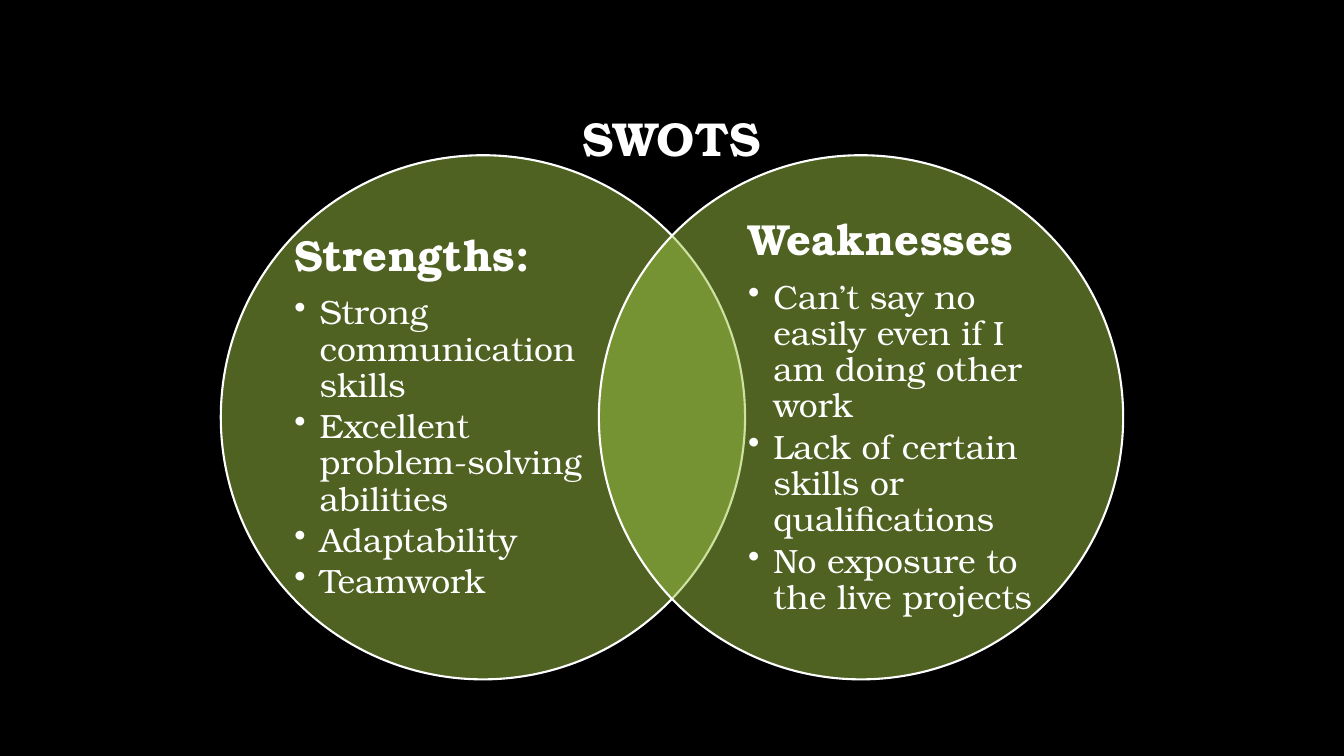
from dataclasses import dataclass

from lxml.etree import SubElement
from pptx import Presentation
from pptx.dml.color import RGBColor
from pptx.enum.shapes import MSO_SHAPE as Preset
from pptx.enum.text import MSO_ANCHOR as Anchor, PP_ALIGN as Align
from pptx.oxml.ns import qn
from pptx.util import Inches, Pt


@dataclass(frozen=True)
class Theme:
    font: str = "TeX Gyre Bonum"
    backdrop: RGBColor = RGBColor(0x00, 0x00, 0x00)
    circle: RGBColor = RGBColor(0x9E, 0xC5, 0x44)
    light: RGBColor = RGBColor(0xFF, 0xFF, 0xFF)
    title_size: float = 34
    heading_size: float = 31
    point_size: float = 24
    outline: float = 1.5
    line_spacing: float = 0.9
    heading_gap: float = 0.35
    point_gap: float = 0.15


@dataclass(frozen=True)
class Topic:
    heading: str
    points: tuple[str, ...]
    circle_left: float
    text_left: float


THEME = Theme()
CIRCLE_TOP, DIAMETER = 1.54, 5.2
TEXT_TOP, TEXT_WIDTH, TEXT_HEIGHT = 2.15, 3, 3.98
HANGING = Inches(0.25)

TOPICS = (
    Topic("Strengths:",
          ("Strong communication skills",
           "Excellent problem-solving abilities",
           "Adaptability",
           "Teamwork"),
          2.19, 2.92),
    Topic("Weaknesses",
          ("Can’t say no easily even if I am doing other work",
           "Lack of certain skills or qualifications",
           "No exposure to the live projects"),
          5.94, 7.42),
)


def apply(target, values: dict) -> None:
    for name, value in values.items():
        setattr(target, name, value)


def add_frame(slide, left: float, top: float, width: float, height: float):
    """Add a wrapping, vertically centred text box and return its frame."""
    box = slide.shapes.add_textbox(*map(Inches, (left, top, width, height)))
    apply(box.text_frame, {"word_wrap": True, "vertical_anchor": Anchor.MIDDLE})
    return box.text_frame


def write(paragraph, text: str, size: float, bold: bool, gap: float = 0) -> None:
    """Fill a paragraph; gap is the space after it as a share of its size."""
    apply(paragraph, {"line_spacing": THEME.line_spacing,
                      "space_after": Pt(size * gap)})
    run = paragraph.add_run()
    run.text = text
    apply(run.font, {"name": THEME.font, "size": Pt(size), "bold": bold})
    run.font.color.rgb = THEME.light


def add_bullet(paragraph) -> None:
    paragraph.level = 1
    properties = paragraph._p.get_or_add_pPr()
    properties.set("marL", str(HANGING))
    properties.set("indent", str(-HANGING))
    SubElement(properties, qn("a:buChar"), char="•")


def add_circle(slide, left: float) -> None:
    circle = slide.shapes.add_shape(
        Preset.OVAL, *map(Inches, (left, CIRCLE_TOP, DIAMETER, DIAMETER)))
    circle.shadow.inherit = False
    circle.fill.solid()
    circle.fill.fore_color.rgb = THEME.circle
    color = circle.fill._xPr.find(qn("a:solidFill"))[0]
    SubElement(color, qn("a:alpha"), val="50000")
    circle.line.color.rgb = THEME.light
    circle.line.width = Pt(THEME.outline)


def add_topic(slide, topic: Topic) -> None:
    add_circle(slide, topic.circle_left)
    frame = add_frame(slide, topic.text_left, TEXT_TOP, TEXT_WIDTH, TEXT_HEIGHT)
    apply(frame, {f"margin_{side}": 0 for side in ("left", "top", "right", "bottom")})
    write(frame.paragraphs[0], topic.heading, THEME.heading_size, True,
          THEME.heading_gap)
    for point in topic.points:
        paragraph = frame.add_paragraph()
        write(paragraph, point, THEME.point_size, False, THEME.point_gap)
        add_bullet(paragraph)


def main() -> None:
    deck = Presentation()
    apply(deck, {"slide_width": Inches(13.33), "slide_height": Inches(7.5)})
    slide = deck.slides.add_slide(deck.slide_layouts[6])
    slide.background.fill.solid()
    slide.background.fill.fore_color.rgb = THEME.backdrop

    # Title
    title = add_frame(slide, 1, 0.67, 11.32, 1.45).paragraphs[0]
    title.alignment = Align.CENTER
    write(title, "SWOTS", THEME.title_size, True)

    # Overlapping circles with their lists
    for topic in TOPICS:
        add_topic(slide, topic)

    deck.save("out.pptx")


if __name__ == "__main__":
    main()
